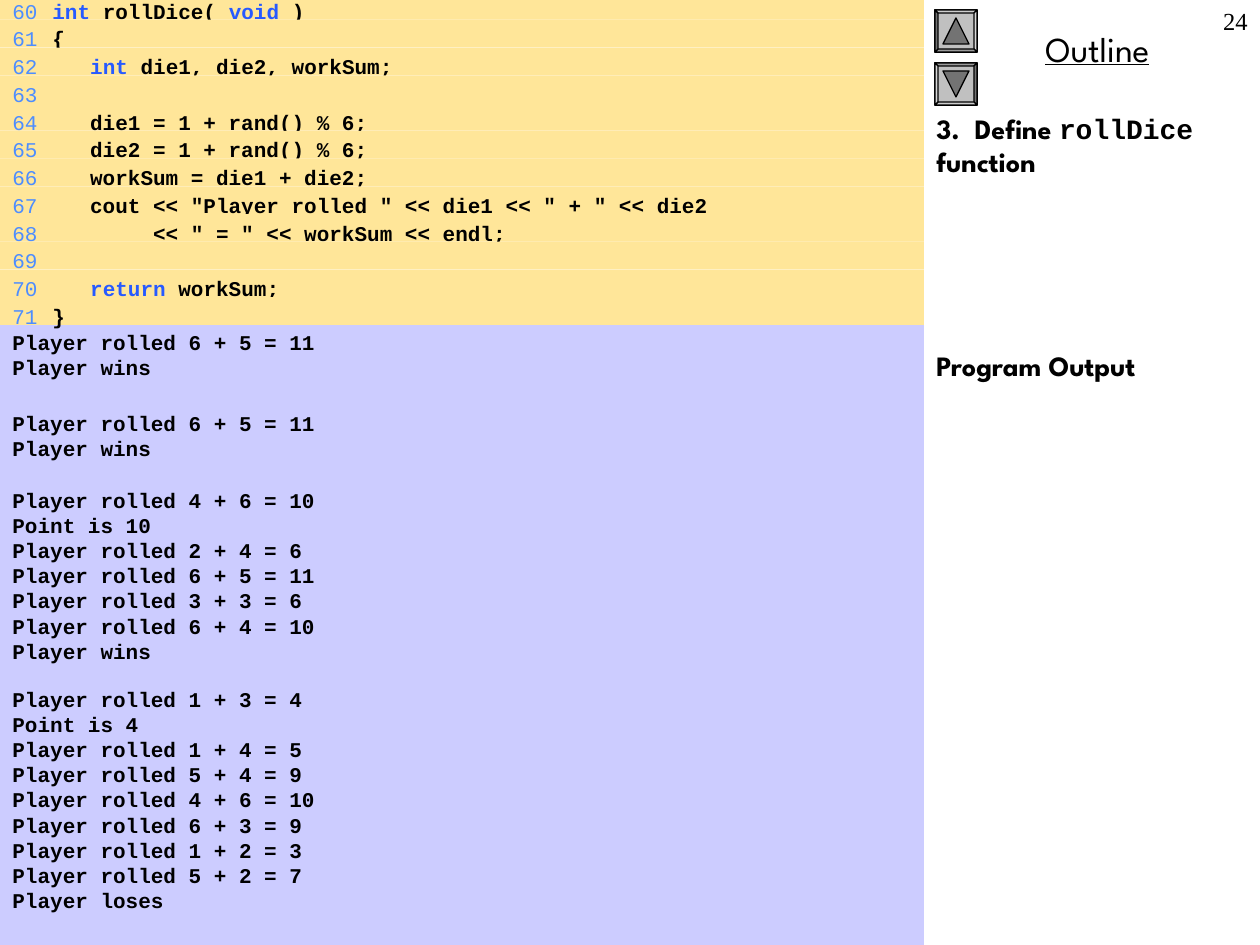
from dataclasses import dataclass

from lxml import etree
from pptx import Presentation
from pptx import util as u
from pptx.dml.color import RGBColor
from pptx.enum import shapes, text
from pptx.oxml.ns import qn

PX = 914400 / 126


@dataclass(frozen=True)
class Theme:
    code_fill: str = "FFE699"
    output_fill: str = "CCCCFF"
    ink: str = "000000"
    number: str = "4D8DFF"
    keyword: str = "275AFF"
    button: str = "C0C0C0"
    button_dark: str = "737373"
    bevel: tuple = ("D9D9D9", "9A9A9A", "737373", "CDCDCD")
    mono: str = "Courier New"
    display: str = "League Spartan"
    serif: str = "Times New Roman"
    code_size: int = 12
    page_size: int = 14
    note_size: int = 16
    title_size: int = 20


THEME = Theme()

CODE = [
    "|int| rollDice( |void| )",
    "{",
    "   |int| die1, die2, workSum;",
    "",
    "   die1 = 1 + rand() % 6;",
    "   die2 = 1 + rand() % 6;",
    "   workSum = die1 + die2;",
    '   cout << "Player rolled " << die1 << " + " << die2',
    '        << " = " << workSum << endl;',
    "",
    "   |return| workSum;",
    "}",
]

OUTPUT = [
    (323, 88, ["6 + 5 = 11", "Player wins"]),
    (404, 88, ["6 + 5 = 11", "Player wins"]),
    (481, 214, ["4 + 6 = 10", "Point is 10", "2 + 4 = 6", "6 + 5 = 11",
                "3 + 3 = 6", "6 + 4 = 10", "Player wins"]),
    (680, 265, ["1 + 3 = 4", "Point is 4", "1 + 4 = 5", "5 + 4 = 9", "4 + 6 = 10",
                "6 + 3 = 9", "1 + 2 = 3", "5 + 2 = 7", "Player loses"]),
]


def px(length):
    return u.Emu(round(length * PX))


def rgb(value):
    return RGBColor.from_string(value)


def style(run, font, size, color=THEME.ink, bold=False):
    run.font.name = font
    run.font.size = u.Pt(size)
    run.font.color.rgb = rgb(color)
    run.font.bold = bold


def add_run(paragraph, content, *look):
    run = paragraph.add_run()
    run.text = content
    style(run, *look)


def set_tabs(paragraph, stops):
    tabs = etree.SubElement(paragraph._p.get_or_add_pPr(), qn("a:tabLst"))
    for position, align in stops:
        etree.SubElement(tabs, qn("a:tab"), pos=str(px(position)), algn=align)


def text_box(slide, left, top, width, height):
    frame = slide.shapes.add_textbox(px(left), px(top), px(width), px(height)).text_frame
    frame.word_wrap = True
    return frame


def panel(slide, left, top, width, height, fill):
    shape = slide.shapes.add_shape(
        shapes.MSO_SHAPE.RECTANGLE, px(left), px(top), px(width), px(height))
    shape.shadow.inherit = False
    shape.fill.solid()
    shape.fill.fore_color.rgb = rgb(fill)
    shape.line.fill.background()
    frame = shape.text_frame
    frame.word_wrap = True
    frame.vertical_anchor = text.MSO_ANCHOR.TOP
    return frame


def polygon(slide, points, fill):
    builder = slide.shapes.build_freeform(*points[0], scale=PX)
    builder.add_line_segments(points[1:], close=True)
    shape = builder.convert_to_shape()
    shape.shadow.inherit = False
    shape.fill.solid()
    shape.fill.fore_color.rgb = rgb(fill)
    shape.line.color.rgb = rgb(THEME.ink)
    shape.line.width = u.Pt(0.75)


def square(left, top, size, inset):
    right, bottom = left + size - inset, top + size - inset
    left, top = left + inset, top + inset
    return [(left, top), (right, top), (right, bottom), (left, bottom)]


def arrow_button(slide, left, top, size, turns):
    outer = square(left, top, size, 0)
    inner = square(left, top, size, 3)
    polygon(slide, outer, THEME.button)
    for side in range(4):
        following = (side + 1) % 4
        polygon(slide, [outer[side], outer[following], inner[following], inner[side]],
                THEME.bevel[(side - turns) % 4])
    corners = square(left, top, size, 8)
    base = corners[2:] if turns == 1 else corners[:2]
    tip = corners[0] if turns == 1 else corners[2]
    polygon(slide, [(left + size // 2, tip[1]), *base], THEME.button_dark)


def code_listing(slide, left, top, width, height, first_number):
    row_height = height / len(CODE)
    for row, line in enumerate(CODE):
        frame = panel(slide, left, top + row * row_height, width, row_height, THEME.code_fill)
        paragraph = frame.paragraphs[0]
        paragraph.alignment = text.PP_ALIGN.LEFT
        set_tabs(paragraph, [(19, "r"), (40, "l")])
        add_run(paragraph, f"\t{first_number + row}\t", THEME.mono, THEME.code_size, THEME.number)
        for index, part in enumerate(line.split("|")):
            if part:
                color = THEME.keyword if index % 2 else THEME.ink
                add_run(paragraph, part, THEME.mono, THEME.code_size, color, True)


def output_block(slide, left, top, width, height, lines):
    frame = panel(slide, left, top, width, height, THEME.output_fill)
    frame.text = "\n".join(
        line if line.startswith("P") else f"Player rolled {line}" for line in lines)
    for paragraph in frame.paragraphs:
        paragraph.alignment = text.PP_ALIGN.LEFT
        paragraph.line_spacing = u.Pt(14.4)
        style(paragraph.runs[0], THEME.mono, THEME.code_size, THEME.ink, True)


def outline_sidebar(slide, left, top, width, height):
    title = text_box(slide, left + 11, top + 21, width - 11, 56).paragraphs[0]
    title.text = "Outline"
    title.alignment = text.PP_ALIGN.CENTER
    style(title.runs[0], THEME.display, THEME.title_size)
    title.runs[0].font.underline = True

    arrow_button(slide, left + 11, top + 10, 42, 1)
    arrow_button(slide, left + 11, top + 63, 42, 3)

    notes = text_box(slide, left, top + 105, width, height - 105)
    topic = notes.paragraphs[0]
    for content, font in (("3.  Define ", THEME.display), ("rollDice", THEME.mono),
                          (" function", THEME.display)):
        add_run(topic, content, font, THEME.note_size, THEME.ink, True)
    heading = notes.add_paragraph()
    heading.text = "Program Output"
    heading.space_before = u.Pt(97)
    style(heading.runs[0], THEME.display, THEME.note_size, THEME.ink, True)

    page = text_box(slide, left + 74, top, width - 74, 63).paragraphs[0]
    page.text = "24"
    page.alignment = text.PP_ALIGN.RIGHT
    style(page.runs[0], THEME.serif, THEME.page_size)


def main():
    presentation = Presentation()
    presentation.slide_width, presentation.slide_height = px(1260), px(945)
    slide = presentation.slides.add_slide(presentation.slide_layouts[6])
    outline_sidebar(slide, 924, 0, 336, 945)
    for top, height, lines in OUTPUT:
        output_block(slide, 0, top, 924, height, lines)
    code_listing(slide, 0, -8, 924, 333, 60)
    presentation.save("out.pptx")


if __name__ == "__main__":
    main()
